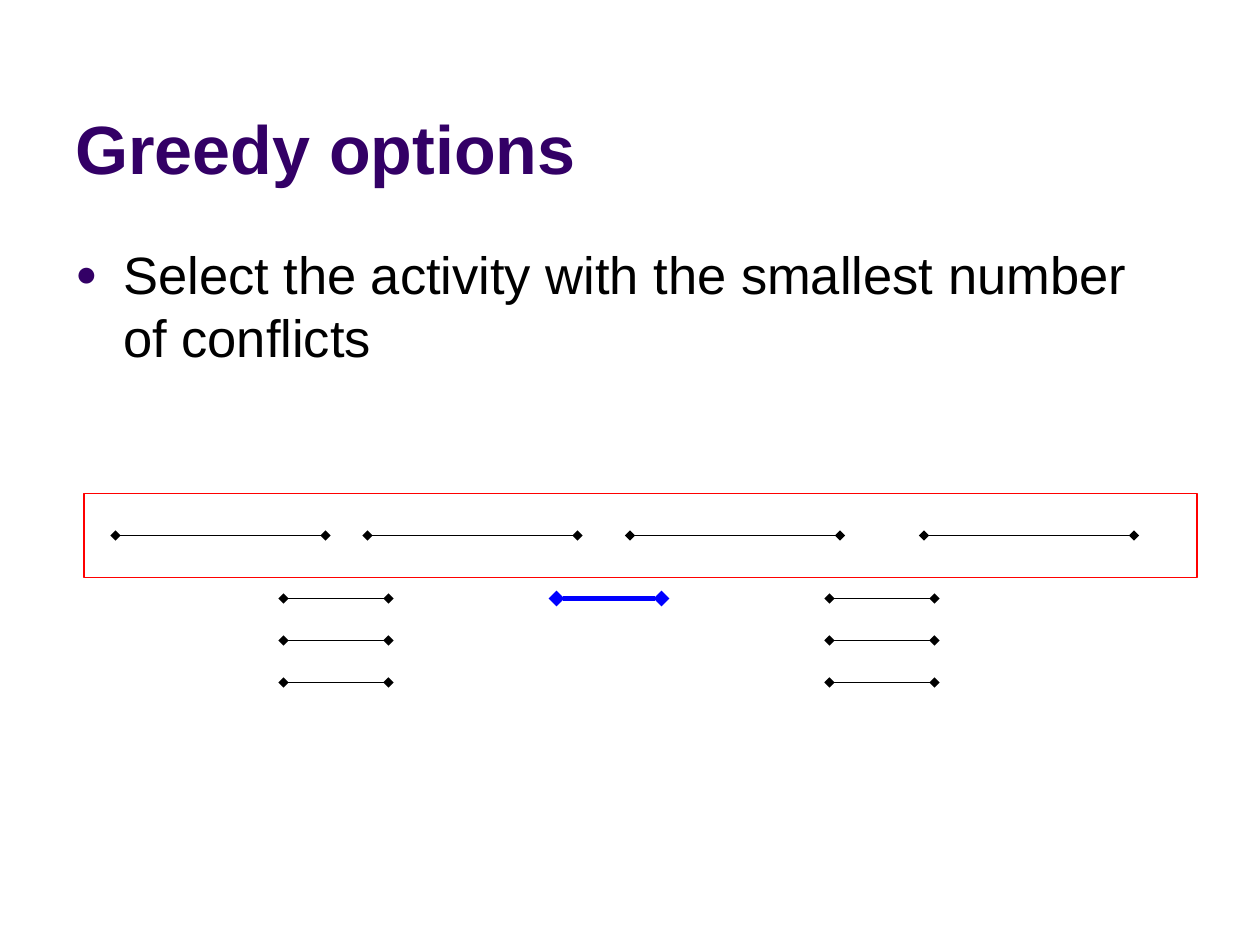
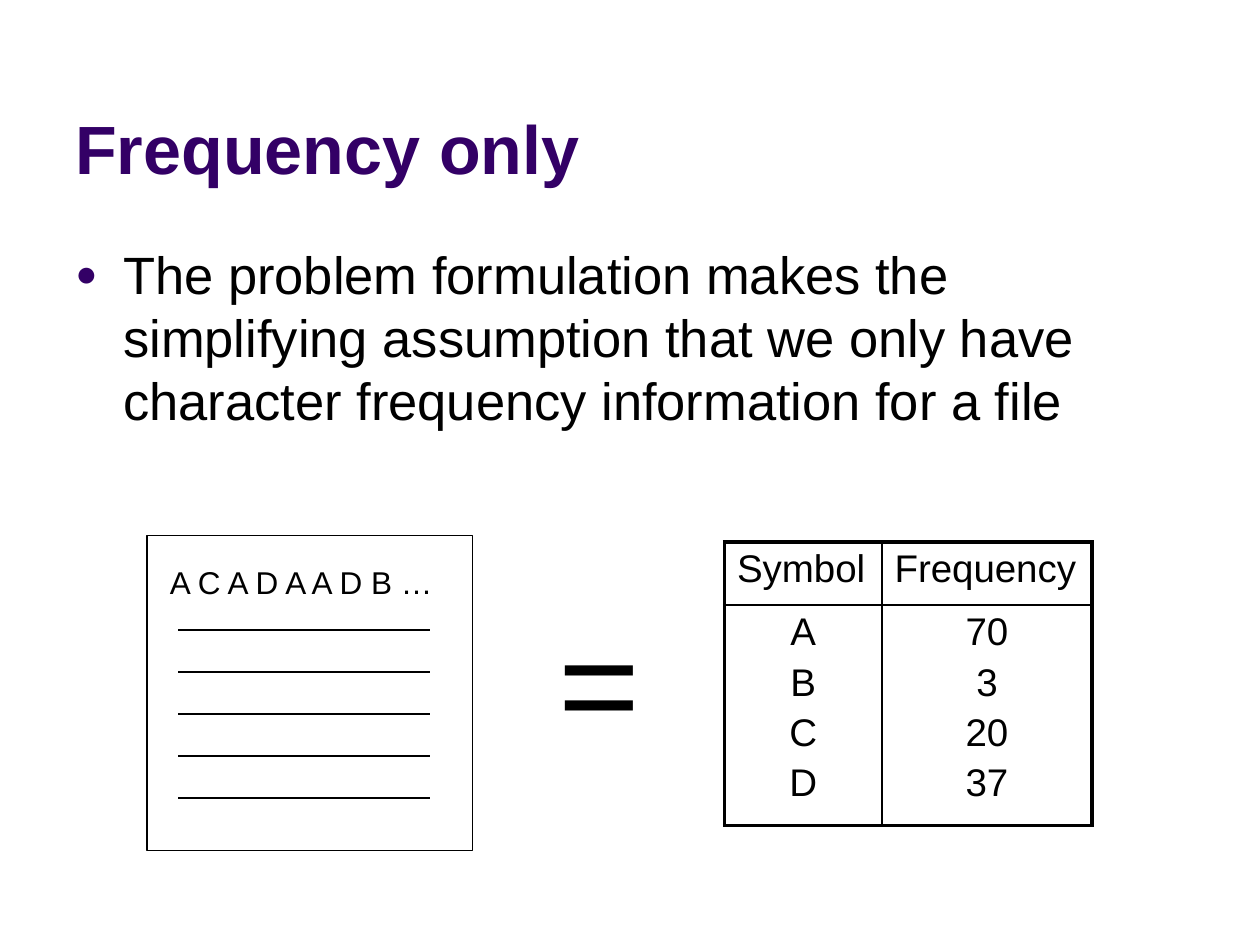
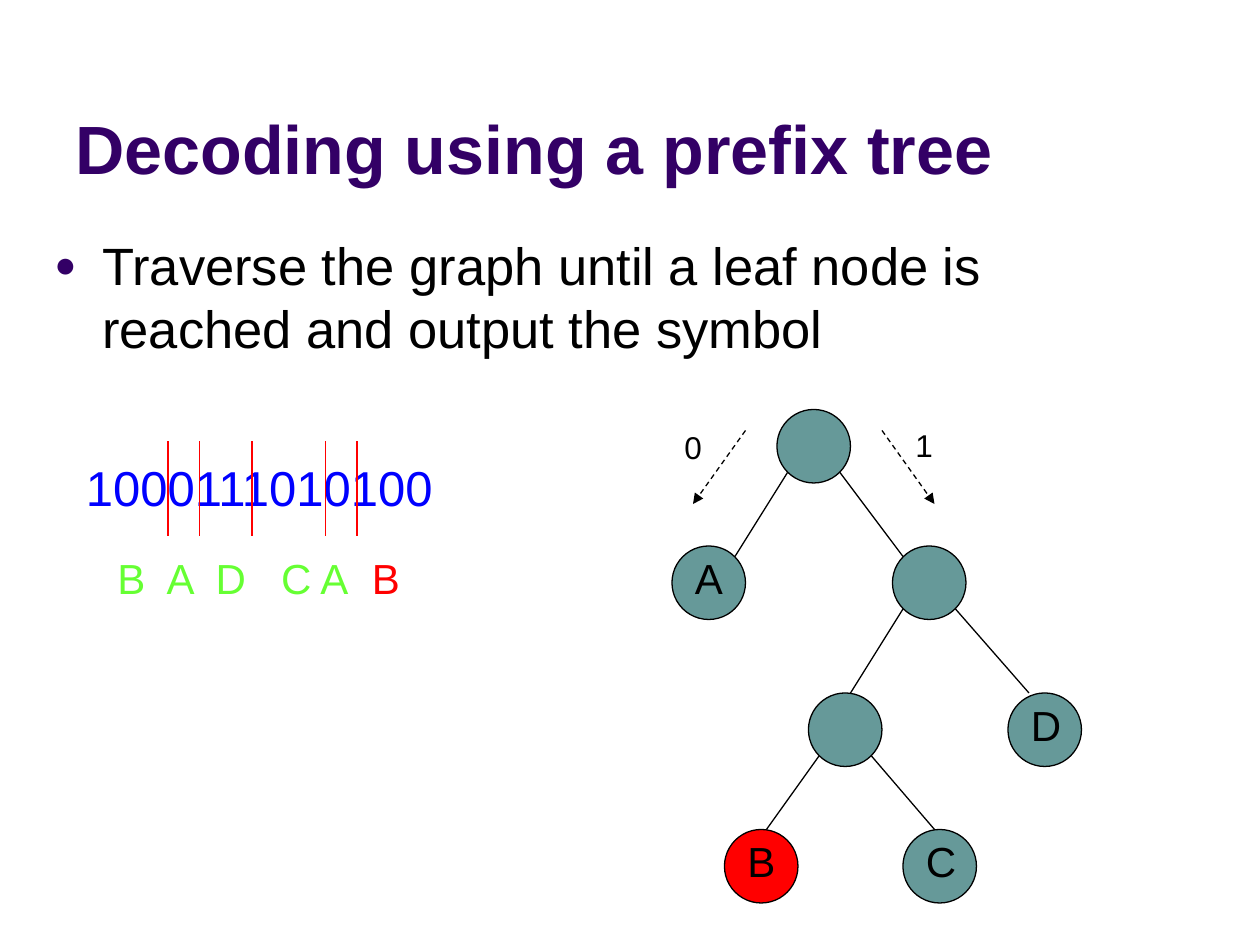
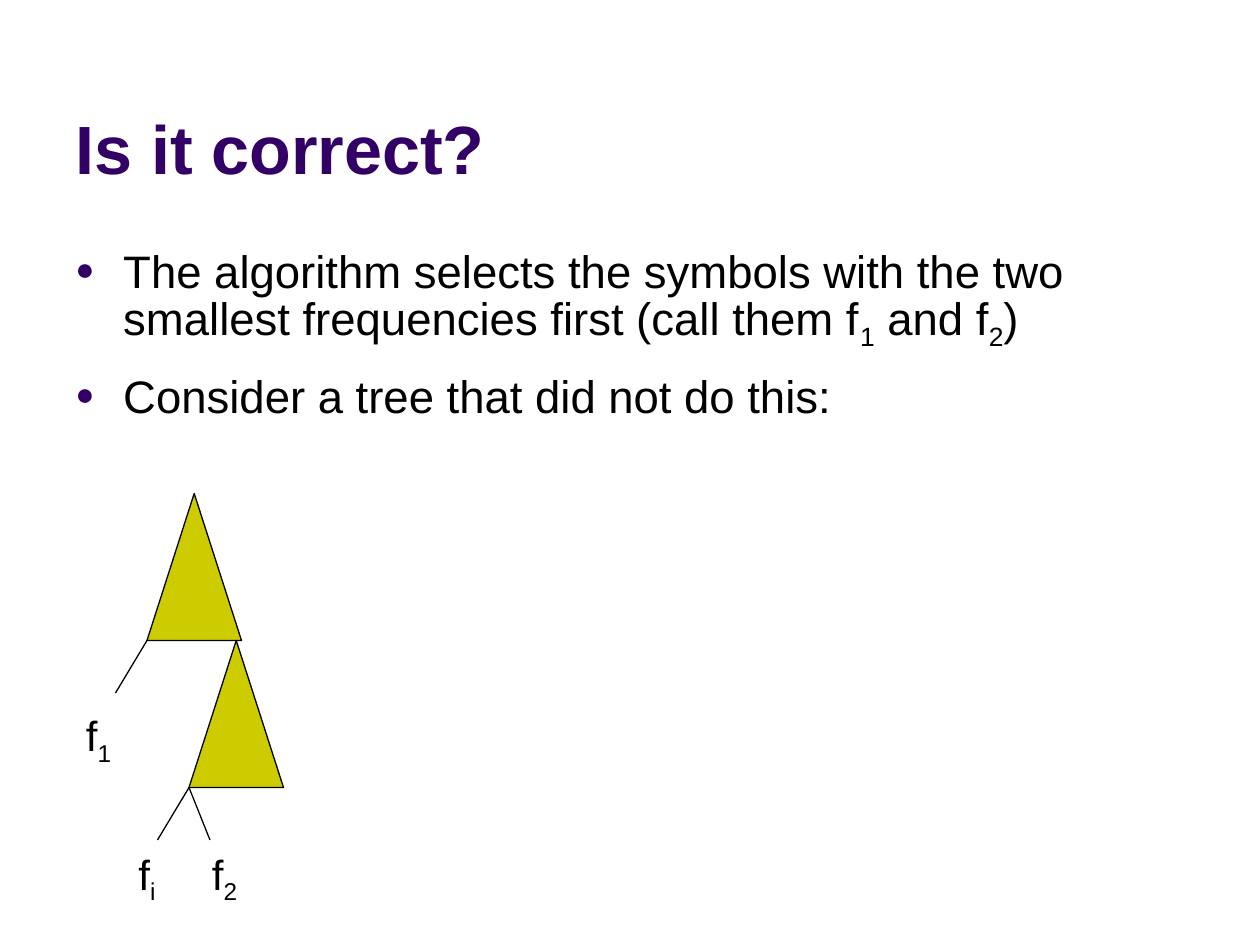
from lxml.etree import SubElement
from pptx import Presentation
from pptx.dml.color import RGBColor
from pptx.enum.dml import MSO_LINE
from pptx.enum.shapes import MSO_CONNECTOR, MSO_SHAPE as SHAPE
from pptx.enum.text import MSO_ANCHOR as ANCHOR, MSO_AUTO_SIZE as FIT, PP_ALIGN as ALIGN
from pptx.oxml.ns import qn
from pptx.util import Inches, Pt

FONT = "Arial"
BLACK, PURPLE, RED, BLUE = "000000", "330066", "FF0000", "0000FF"
TEAL, OLIVE, GREEN = "669999", "CCCC00", "66FF33"
COLUMNS, ROWS = 120, 90
THIN, INNER, OUTER = 0.75, 1, 2.25


def color(code):
    return RGBColor.from_string(code)


def add_xml(parent, tag, **attributes):
    return SubElement(parent, qn(tag), attributes)


def sub(text):
    """A run set as a subscript."""
    return text, {"baseline": -25}


def write(frame, *paragraphs, size=24, ink=BLACK, bold=False, align=None,
          before=0, leading=None, bullet=False, tabs=()):
    """Fill a frame; a paragraph is a string or a list of strings and (string, format) runs."""
    for number, content in enumerate(paragraphs):
        para = frame.add_paragraph() if number else frame.paragraphs[0]
        props = para._p.get_or_add_pPr()
        if bullet:
            props.set("marL", str(Inches(0.38)))
            props.set("indent", str(-Inches(0.38)))
            add_xml(add_xml(props, "a:buClr"), "a:srgbClr", val=PURPLE)
            add_xml(props, "a:buSzPct", val="70000")
            add_xml(props, "a:buFont", typeface=FONT)
            add_xml(props, "a:buChar", char="●")
        if tabs:
            stops = add_xml(props, "a:tabLst")
            for stop in tabs:
                add_xml(stops, "a:tab", pos=str(Inches(stop)), algn="l")
        para.alignment = align
        para.space_before = Pt(before if number else 0)
        if leading:
            para.line_spacing = Pt(leading)
        for piece in [content] if isinstance(content, str) else content:
            text, look = (piece, {}) if isinstance(piece, str) else piece
            span = para.add_run()
            span.text = text
            span.font.name, span.font.size, span.font.bold = FONT, Pt(size), bold
            span.font.color.rgb = color(look.get("ink", ink))
            if "baseline" in look:
                span._r.get_or_add_rPr().set("baseline", str(look["baseline"] * 1000))


class Deck:
    """Holds the style and the current page; lengths are grid columns and rows."""

    def __init__(self):
        self.deck = Presentation()
        self.deck.slide_width, self.deck.slide_height = Inches(10), Inches(7.5)
        self.page = None

    def x(self, columns):
        return round(self.deck.slide_width * columns / COLUMNS)

    def y(self, rows):
        return round(self.deck.slide_height * rows / ROWS)

    def area(self, left, top, width, height):
        return self.x(left), self.y(top), self.x(width), self.y(height)

    def new_page(self, title, *points, left=6, top=22.5, width=108, height=21, size=30):
        self.page = self.deck.slides.add_slide(self.deck.slide_layouts[6])
        self.text(6, 1.5, 108, 17, title, size=39, ink=PURPLE, bold=True, anchor=ANCHOR.BOTTOM)
        self.text(left, top, width, height, *points, size=size,
                  leading=size * 1.2, before=9, bullet=True)

    def text(self, left, top, width, height, *paragraphs, anchor=ANCHOR.TOP, grow=False, **look):
        frame = self.page.shapes.add_textbox(*self.area(left, top, width, height)).text_frame
        frame.word_wrap = True
        frame.vertical_anchor = anchor
        frame.auto_size = FIT.SHAPE_TO_FIT_TEXT if grow else FIT.NONE
        write(frame, *paragraphs, **look)

    def label(self, left, top, width, height, *paragraphs, **look):
        self.text(left, top, width, height, *paragraphs, grow=True, **look)

    def shape(self, kind, left, top, width, height, fill=None, ink=BLACK):
        shape = self.page.shapes.add_shape(kind, *self.area(left, top, width, height))
        shape.shadow.inherit = False
        if fill:
            shape.fill.solid()
            shape.fill.fore_color.rgb = color(fill)
        else:
            shape.fill.background()
        shape.line.color.rgb = color(ink)
        shape.line.width = Pt(THIN)

    def line(self, x1, y1, x2, y2, ink=BLACK, weight=THIN, dash=False, head=None, tail=None):
        line = self.page.shapes.add_connector(
            MSO_CONNECTOR.STRAIGHT, self.x(x1), self.y(y1), self.x(x2), self.y(y2))
        line.line.color.rgb = color(ink)
        line.line.width = Pt(weight)
        if dash:
            line.line.dash_style = MSO_LINE.DASH
        props = line._element.spPr
        outline = props.find(qn("a:ln"))
        for tag, end in (("a:headEnd", head), ("a:tailEnd", tail)):
            if end:
                add_xml(outline, tag, type=end)
        add_xml(props, "a:effectLst")

    def interval(self, start, row, length, **look):
        self.line(start, row, start + length, row, head="diamond", tail="diamond", **look)

    def table(self, left, top, widths, heights, rows):
        """Each cell is a pair of its paragraphs and their alignment."""
        table = self.page.shapes.add_table(
            len(heights), len(widths), *self.area(left, top, sum(widths), sum(heights))).table
        table.first_row = table.horz_banding = False
        for column, width in zip(table.columns, widths):
            column.width = self.x(width)
        for row, height in zip(table.rows, heights):
            row.height = self.y(height)
        for r, row in enumerate(rows):
            for c, (paragraphs, align) in enumerate(row):
                cell = table.cell(r, c)
                write(cell.text_frame, *paragraphs, size=22, before=4, align=align)
                on_edge = {"a:lnL": c == 0, "a:lnR": c == len(widths) - 1,
                           "a:lnT": r == 0, "a:lnB": r == len(heights) - 1}
                for tag, outer in on_edge.items():
                    border = add_xml(cell._tc.get_or_add_tcPr(), tag,
                                     w=str(Pt(OUTER if outer else INNER)))
                    add_xml(add_xml(border, "a:solidFill"), "a:srgbClr", val=BLACK)
                cell.fill.background()


def greedy_options(deck):
    deck.new_page("Greedy options",
                  "Select the activity with the smallest number of conflicts")
    for start in (11, 35, 60, 88):
        deck.interval(start, 51, 20)
    for start in (27, 79):
        for row in (57, 61, 65):
            deck.interval(start, row, 10)
    deck.interval(53, 57, 10, ink=BLUE, weight=3)
    deck.shape(SHAPE.RECTANGLE, 8, 47, 106, 8, ink=RED)


def frequency_only(deck):
    deck.new_page("Frequency only",
                  "The problem formulation makes the simplifying assumption that we "
                  "only have character frequency information for a file")
    deck.label(15, 53, 35, 4.8, "A C A D A A D B …", size=18)
    deck.shape(SHAPE.RECTANGLE, 14, 51, 31, 30)
    for row in range(60, 77, 4):
        deck.line(17, row, 41, row)
    deck.label(52, 56, 14, 17.2, "=", size=80)
    header = [(["Symbol"], None), (["Frequency"], None)]
    values = [(list("ABCD"), ALIGN.CENTER), (["70", "3", "20", "37"], ALIGN.CENTER)]
    deck.table(69, 51.6, (15, 20), (6, 21), [header, values])


def prefix_tree(deck):
    deck.new_page("Decoding using a prefix tree",
                  "Traverse the graph until a leaf node is reached and output the symbol",
                  left=4, top=21.6, width=110, height=13.5)
    nodes = [(74, 39, ""), (64, 52, "A"), (85, 52, ""), (77, 66, ""),
             (69, 79, "B"), (86, 79, "C"), (96, 66, "D")]
    for left, top, symbol in nodes:
        deck.shape(SHAPE.OVAL, left, top, 7, 7, fill=RED if symbol == "B" else TEAL)
        if symbol:
            deck.label(left + 1, top, 6, 6, symbol)
    edges = [(75, 45, 70, 53), (80, 45, 86, 53), (86, 58, 81, 66),
             (78, 72, 73, 79), (83, 72, 89, 79), (91, 58, 98, 66)]
    for edge in edges:
        deck.line(*edge)
    for start, end, bit, left, top in ((71, 66, "0", 64, 40.2), (84, 89, "1", 86, 40)):
        deck.line(start, 41, end, 48, dash=True, tail="triangle")
        deck.label(left, top, 5, 4.8, bit, size=18)
    deck.label(7, 43, 38, 6.8, "1000111010100", size=28, ink=BLUE)
    for cut in (16, 19, 24, 31, 34):
        deck.line(cut, 42, cut, 51, ink=RED)
    deck.label(10, 52, 38, 6, ["B\tA\tD\tC\tA", ("\tB", {"ink": RED})],
               ink=GREEN, tabs=(0.39, 0.78, 1.3, 1.61, 2.02))


def is_it_correct(deck):
    deck.new_page("Is it correct?",
                  ["The algorithm selects the symbols with the two smallest frequencies "
                   "first (call them f", sub("1"), " and f", sub("2"), ")"],
                  "Consider a tree that did not do this:", size=26, height=22.5)
    for left, top in ((14, 47), (18, 61)):
        deck.shape(SHAPE.ISOSCELES_TRIANGLE, left, top, 9, 14, fill=OLIVE)
        deck.line(left, top + 14, left - 3, top + 19)
    deck.line(18, 75, 20, 80)
    for left, top, index in ((7, 67, "1"), (12, 80.2, "i"), (19, 80.2, "2")):
        deck.label(left, top, 7, 6, ["f", sub(index)])


def main():
    deck = Deck()
    for build in (greedy_options, frequency_only, prefix_tree, is_it_correct):
        build(deck)
    deck.deck.save("out.pptx")


if __name__ == "__main__":
    main()
